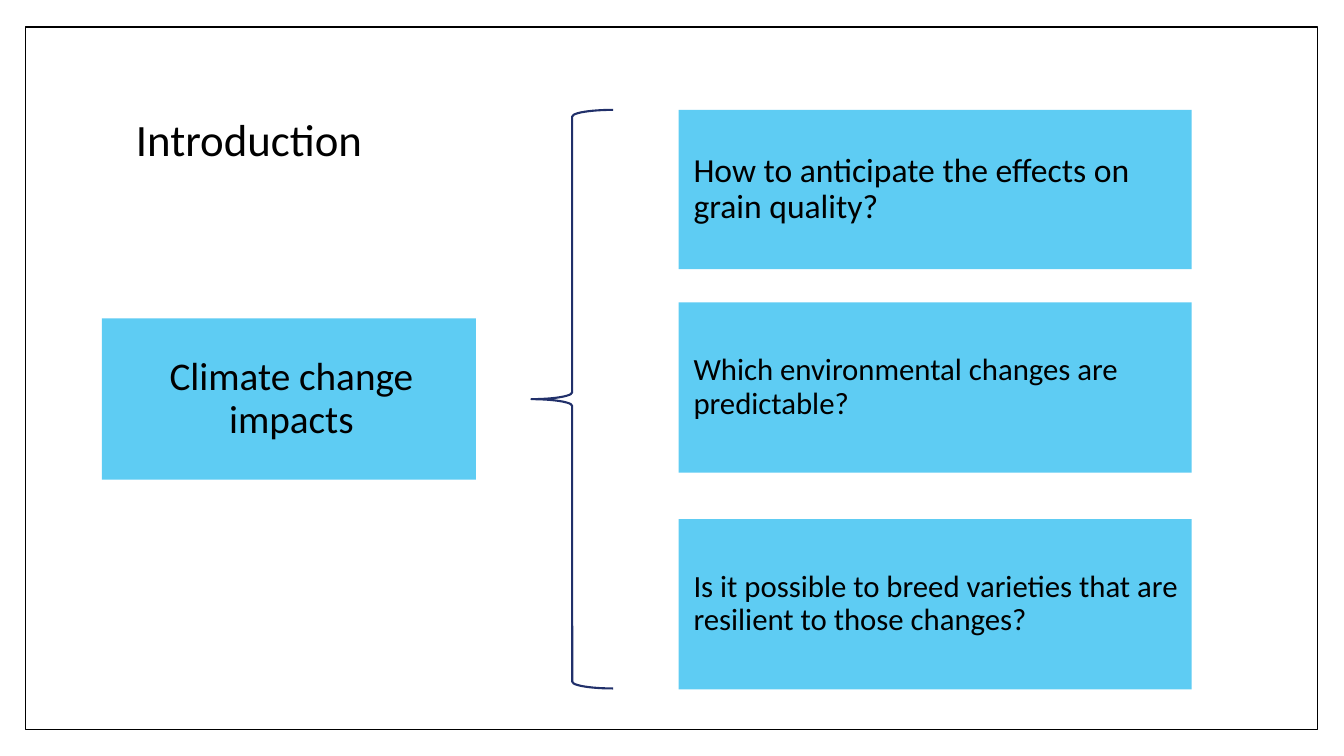
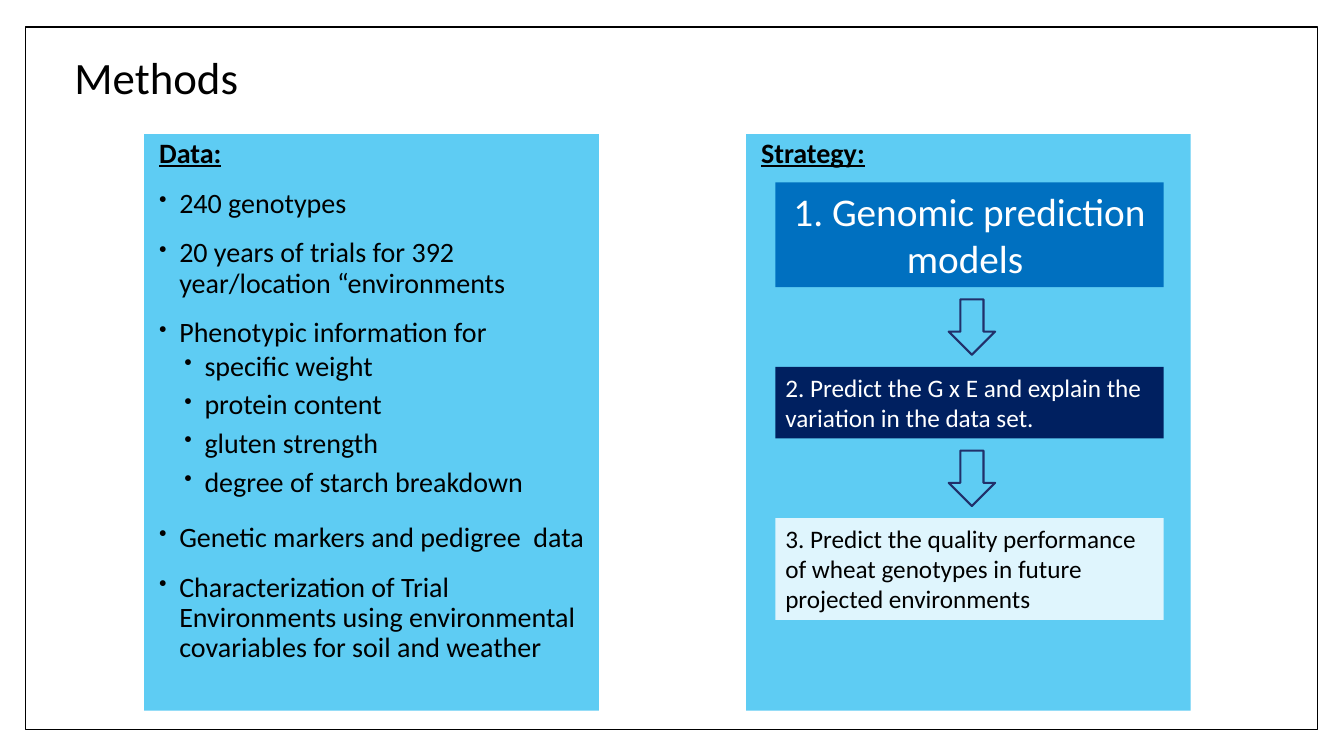
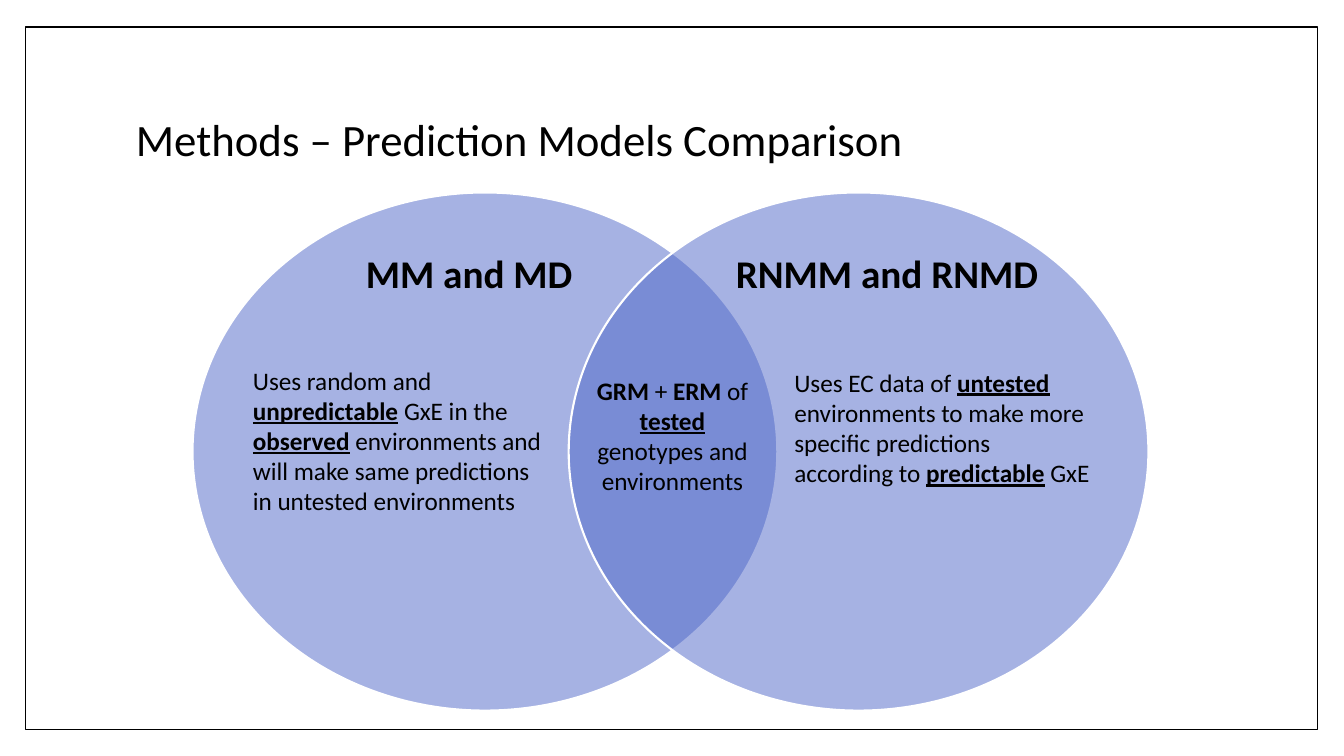
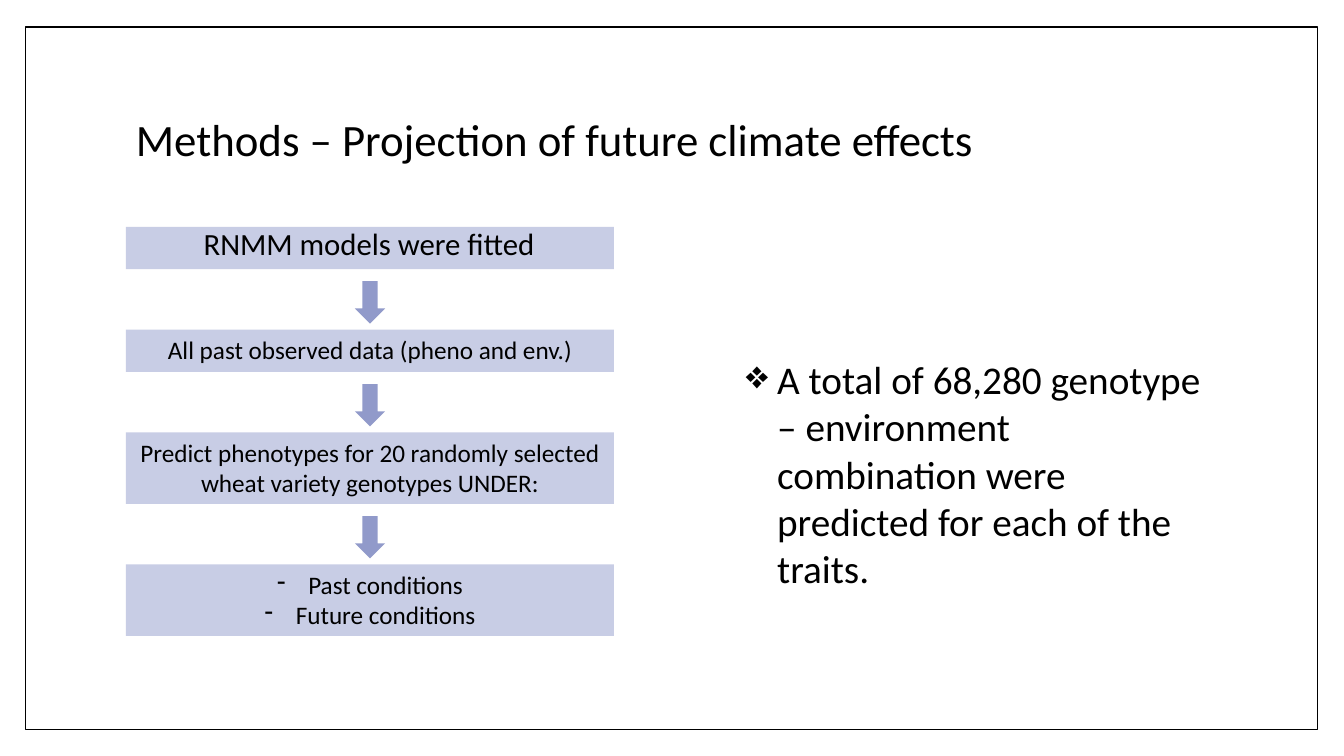
from dataclasses import dataclass

from lxml import etree
from pptx import Presentation
from pptx import util as u
from pptx.dml.color import RGBColor
from pptx.enum import shapes, text
from pptx.oxml import ns

PX = 9144  # EMU in one px, 100 px to the inch
KIND = shapes.MSO_SHAPE
MID = text.MSO_ANCHOR.MIDDLE
CENTER = text.PP_ALIGN.CENTER


@dataclass(frozen=True)
class Theme:
    font: str = "Calibri"
    black: str = "000000"
    white: str = "FFFFFF"
    sky: str = "5ECCF3"
    pale: str = "DFF5FD"
    blue: str = "0070C0"
    navy: str = "002060"
    ink: str = "21306A"
    iris: str = "4E67C8"
    mist: str = "C8CDE5"
    haze: str = "919ACA"
    title: int = 32
    head: int = 28
    lead: int = 24
    body: int = 22
    list: int = 20
    note: int = 18


T = Theme()
BODY = dict(left=5, space=0.9, before=14)


def node(base, tag, **attrs):
    """Add an XML child."""
    return etree.SubElement(base, ns.qn(tag), attrs)


def part(slide, kind, box, fill=None, line=None, width=1.5, alpha=None):
    """Add a shape, or a text box when kind is None."""
    place = [n * PX for n in box]
    if kind is None:
        return slide.shapes.add_textbox(*place)
    item = slide.shapes.add_shape(kind, *place)
    item.shadow.inherit = False
    if fill:
        item.fill.solid()
        item.fill.fore_color.rgb = RGBColor.from_string(fill)
        if alpha:
            tone = item.fill._xPr.find(ns.qn("a:solidFill"))[0]
            node(tone, "a:alpha", val=str(alpha * 1000))
    else:
        item.fill.background()
    if line:
        item.line.color.rgb = RGBColor.from_string(line)
        item.line.width = u.Pt(width)
    else:
        item.line.fill.background()
    return item


def say(item, *paras, size=T.note, color=T.black, style="", align=text.PP_ALIGN.LEFT,
        anchor=text.MSO_ANCHOR.TOP, space=None, before=0, after=0, left=0, hang=0,
        bullet=None, scale=100):
    """Append paragraphs: each a string or a list of (text, style) runs; b bold, u underlined."""
    frame = item.text_frame
    frame.word_wrap = True
    frame.vertical_anchor = anchor
    for runs in paras:
        para = frame.add_paragraph() if frame.text else frame.paragraphs[0]
        para.alignment = align
        para.line_spacing = space
        para.space_before, para.space_after = u.Pt(before), u.Pt(after)
        props = para._p.get_or_add_pPr()
        props.set("marL", str(left * PX))
        props.set("indent", str(-hang * PX))
        if bullet:
            node(node(props, "a:buClr"), "a:srgbClr", val=color)
            node(props, "a:buSzPct", val=str(scale * 1000))
            node(props, "a:buChar", char=bullet)
        for words, look in [(runs, style)] if isinstance(runs, str) else runs:
            run = para.add_run()
            run.text = words
            font = run.font
            font.name, font.size = T.font, u.Pt(size)
            font.color.rgb = RGBColor.from_string(color)
            font.bold, font.underline = "b" in look, "u" in look


def page(deck, title, box=(125, 67, 1080, 148)):
    """Start a slide with its frame and title."""
    slide = deck.slides.add_slide(deck.slide_layouts[6])
    part(slide, KIND.RECTANGLE, (25, 27, 1282, 697), T.white, T.black, 1)
    say(part(slide, None, box), title, size=T.title, anchor=MID, space=0.9)
    return slide


def flow(slide, box, steps, gap, arrow, shift=0, **look):
    """Stack boxes of (height, fill, paragraphs, format) with arrows in the gaps."""
    x, y, w = box
    wide, tall = arrow
    for i, (high, fill, paras, form) in enumerate(steps):
        if i:
            part(slide, KIND.DOWN_ARROW,
                 (x + (w - wide) // 2 + shift, y - gap + 12, wide, tall), **look)
        say(part(slide, KIND.RECTANGLE, (x, y, w, high), fill), *paras, **form)
        y += high + gap


def split(slide, box, cause, asks):
    """Cause at the left, brace, and questions at the right."""
    x, y, w, h = box
    say(part(slide, KIND.RECTANGLE, (x, y + 207, 371, 160), T.sky), cause,
        size=T.head, align=CENTER, anchor=MID, **BODY)
    part(slide, KIND.LEFT_BRACE, (x + 426, y, 81, h), line=T.ink)
    for top, high, size, ask in asks:
        say(part(slide, KIND.RECTANGLE, (x + w - 509, y + top, 509, high), T.sky), ask,
            size=size, anchor=MID, **BODY)


def panel(slide, box, head):
    """Tall panel with an underlined heading."""
    item = part(slide, KIND.RECTANGLE, box, T.sky)
    say(item, head, size=T.list, style="bu", **BODY)
    return item


def venn(slide, box, labels):
    """Two overlapping ellipses with labels."""
    x, y, w, h = box
    for dx, wide in ((0, 580), (w - 575, 575)):
        part(slide, KIND.OVAL, (x + dx, y, wide, h), T.iris, T.white, alpha=50)
    for (dx, dy, wide, high), runs, form in labels:
        say(part(slide, None, (x + dx, y + dy, wide, high)), runs, **form)


def intro(deck):
    slide = page(deck, "Introduction")
    split(slide, (101, 109, 1081, 574), "Climate change impacts", [
        (0, 158, T.lead, "How to anticipate the effects on grain quality?"),
        (191, 169, T.body, "Which environmental changes are predictable?"),
        (406, 169, T.body,
         "Is it possible to breed varieties that are resilient to those changes?"),
    ])


def methods(deck):
    slide = page(deck, "Methods", (64, 46, 1080, 66))
    # Data list
    data = panel(slide, (143, 133, 451, 572), "Data:")
    dot = dict(size=T.list, bullet="•", scale=80, space=0.9, hang=20)
    main = dict(dot, left=25, before=14)
    say(data, "240 genotypes", "20 years of trials for 392 year/location “environments",
        "Phenotypic information for", **main)
    say(data, "specific weight", "protein content", "gluten strength",
        "degree of starch breakdown", left=50, before=2, after=4, **dot)
    say(data, "Genetic markers and pedigree  data",
        "Characterization of Trial Environments using environmental covariables"
        " for soil and weather", **main)
    # Strategy steps
    panel(slide, (740, 133, 441, 572), "Strategy:")
    flow(slide, (769, 181, 385), [
        (104, T.blue, ["1. Genomic prediction models "],
         dict(size=T.head, color=T.white, align=CENTER)),
        (71, T.navy, ["2. Predict the G x E and explain the variation in the data set."],
         dict(color=T.white)),
        (101, T.pale, ["3. Predict the quality performance of wheat genotypes in future"
                       " projected environments"], {}),
    ], 79, (46, 55), 3, line=T.ink)


def models(deck):
    slide = page(deck, "Methods – Prediction Models Comparison")
    head = dict(size=T.head, style="b")
    venn(slide, (191, 191, 948, 514), [
        ((50, 166, 314, 162), [
            ("Uses random and ", ""), ("unpredictable", "bu"), (" GxE in the ", ""),
            ("observed", "bu"),
            (" environments and will make same predictions in untested environments", ""),
        ], {}),
        ((587, 168, 314, 162), [
            ("Uses EC data of ", ""), ("untested", "bu"),
            (" environments to make more specific predictions according to ", ""),
            ("predictable", "bu"), (" GxE", ""),
        ], {}),
        ((529, 51, 338, 88), "RNMM and RNMD", head),
        ((162, 51, 261, 88), "MM and MD", head),
        ((390, 176, 172, 162), [
            ("GRM", "b"), (" + ", ""), ("ERM", "b"), (" of ", ""), ("tested", "bu"),
            (" genotypes and environments", ""),
        ], dict(align=CENTER)),
    ])


def future(deck):
    slide = page(deck, "Methods – Projection of future climate effects")
    mid = dict(align=CENTER)
    mark = dict(left=31, hang=31)
    flow(slide, (125, 225, 484), [
        (42, T.mist, ["RNMM models were fitted "],
         dict(mid, size=T.body, left=5, space=0.8, before=14)),
        (42, T.mist, ["All past observed data (pheno and env.)"], mid),
        (71, T.mist, ["Predict phenotypes for 20 randomly selected wheat variety"
                      " genotypes UNDER:"], mid),
        (71, T.mist, ["Past conditions", "Future conditions"], dict(mid, bullet="-", **mark)),
    ], 60, (30, 42), fill=T.haze)
    # Outcome
    say(part(slide, None, (730, 348, 475, 246)),
        "A total of 68,280 genotype – environment combination were predicted for each"
        " of the traits.", size=T.head, bullet="❖", **mark)


def main():
    deck = Presentation()
    deck.slide_width, deck.slide_height = 1333 * PX, 750 * PX
    for build in (intro, methods, models, future):
        build(deck)
    deck.save("out.pptx")


if __name__ == "__main__":
    main()
